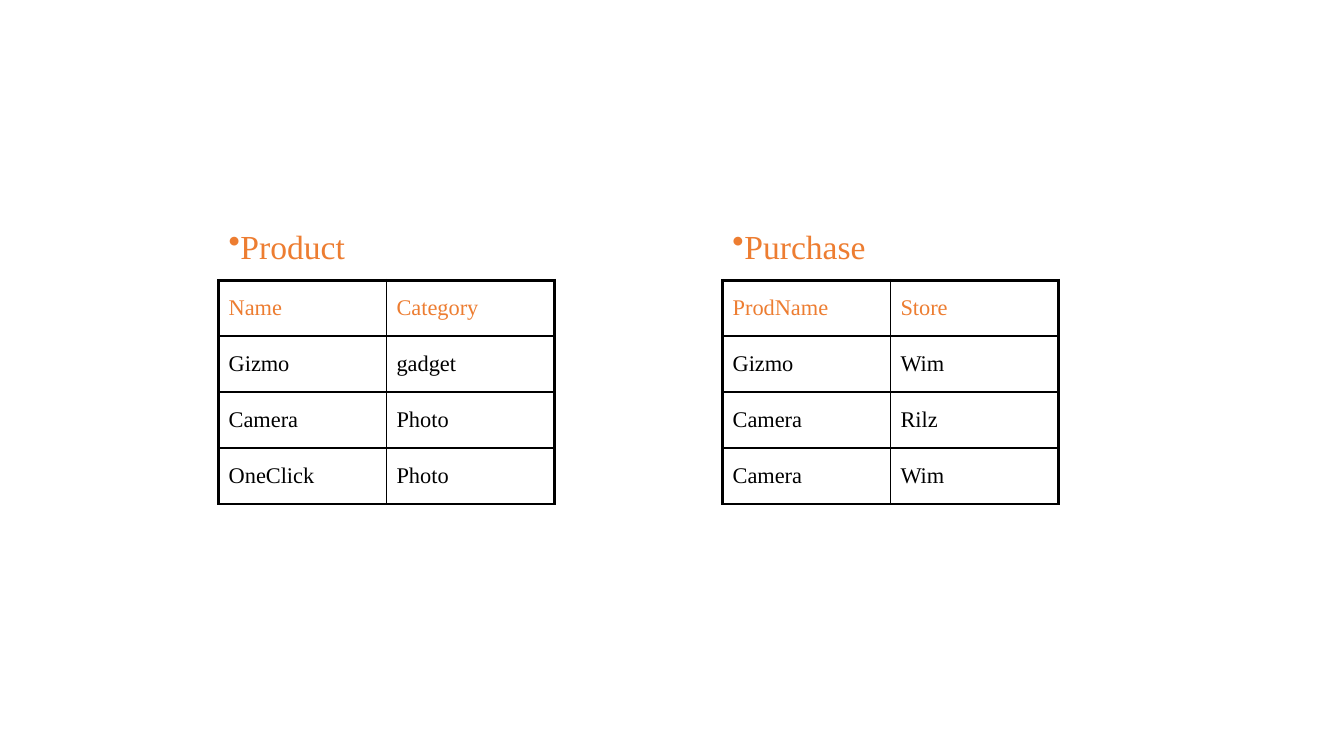
from lxml.etree import SubElement
from pptx import Presentation
from pptx.dml.color import RGBColor
from pptx.enum.text import MSO_ANCHOR, MSO_AUTO_SIZE
from pptx.oxml import parse_xml
from pptx.oxml.ns import nsdecls, qn
from pptx.util import Cm, Pt

ORANGE = RGBColor(0xED, 0x7D, 0x31)
BLACK = RGBColor(0, 0, 0)

COLUMN_WIDTH = Cm(4.23)
ROW_HEIGHT = Cm(1.41)
TABLE_TOP = Cm(7.06)
HEADING_TOP = Cm(5.56)
HEADING_HEIGHT = Cm(1.27)

RELATIONS = [
    ("Product", Cm(5.51), Cm(3.48), [
        ("Name", "Category"),
        ("Gizmo", "gadget"),
        ("Camera", "Photo"),
        ("OneClick", "Photo"),
    ]),
    ("Purchase", Cm(18.21), Cm(3.89), [
        ("ProdName", "Store"),
        ("Gizmo", "Wim"),
        ("Camera", "Rilz"),
        ("Camera", "Wim"),
    ]),
]


class RelationPage:
    font_name = "Times New Roman"
    thick = Pt(2.25)
    thin = Pt(1)

    def __init__(self, page):
        self.page = page

    def set_text(self, para, text, size, color):
        para.text = text
        para.font.name = self.font_name
        para.font.size = Pt(size)
        para.font.color.rgb = color
        properties = para._p.get_or_add_pPr()
        spacing = parse_xml(
            f'<a:spcBef {nsdecls("a")}><a:spcPct val="20000"/></a:spcBef>')
        properties.insert(0, spacing)
        return properties

    def border(self, cell, sides):
        properties = cell._tc.get_or_add_tcPr()
        for index, (side, width) in enumerate(sides.items()):
            line = parse_xml(
                f'<a:ln{side} {nsdecls("a")} w="{width}"><a:solidFill>'
                f'<a:srgbClr val="{BLACK}"/></a:solidFill></a:ln{side}>')
            properties.insert(index, line)

    def table(self, left, rows):
        row_count, column_count = len(rows), len(rows[0])
        table = self.page.shapes.add_table(
            row_count, column_count, left, TABLE_TOP,
            COLUMN_WIDTH * column_count, ROW_HEIGHT * row_count).table
        table.first_row = False
        table.horz_banding = False
        for column in table.columns:
            column.width = COLUMN_WIDTH
        for row_index, values in enumerate(rows):
            table.rows[row_index].height = ROW_HEIGHT
            for column_index, value in enumerate(values):
                cell = table.cell(row_index, column_index)
                cell.vertical_anchor = MSO_ANCHOR.MIDDLE
                cell.fill.background()
                color = ORANGE if row_index == 0 else BLACK
                self.set_text(cell.text_frame.paragraphs[0], value, 16, color)
                heavy = {
                    "L": column_index == 0,
                    "R": column_index == column_count - 1,
                    "T": row_index <= 1,
                    "B": row_index in (0, row_count - 1),
                }
                self.border(cell, {side: self.thick if bold else self.thin
                                   for side, bold in heavy.items()})

    def heading(self, text, left, width):
        box = self.page.shapes.add_textbox(
            left, HEADING_TOP, width, HEADING_HEIGHT)
        frame = box.text_frame
        frame.word_wrap = False
        frame.auto_size = MSO_AUTO_SIZE.SHAPE_TO_FIT_TEXT
        properties = self.set_text(frame.paragraphs[0], text, 24, ORANGE)
        bullet = SubElement(properties, qn("a:buChar"), char="•")
        properties.insert(1, bullet)


def main():
    deck = Presentation()
    deck.slide_width = Cm(33.87)
    deck.slide_height = Cm(19.05)
    page = RelationPage(deck.slides.add_slide(deck.slide_layouts[6]))
    for name, left, width, rows in RELATIONS:
        page.table(left, rows)
    for name, left, width, rows in RELATIONS:
        page.heading(name, left, width)
    deck.save("out.pptx")


if __name__ == "__main__":
    main()
